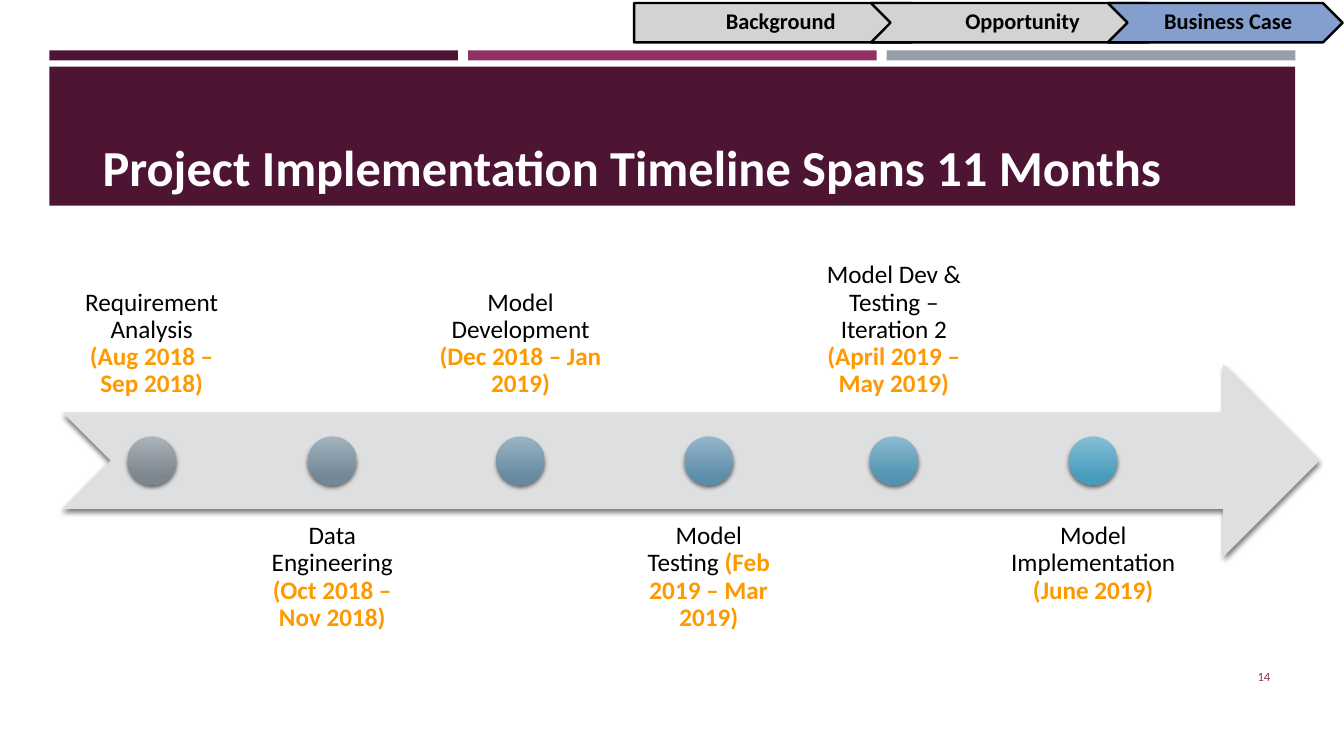
from lxml import etree
from pptx import Presentation
from pptx import util as u
from pptx.dml.color import RGBColor
from pptx.enum import shapes, text
from pptx.oxml import ns

CELL = u.Inches(0.1)
COLUMNS, ROWS = 133.33, 75
FONT = "Calibri"

BLACK = RGBColor(0x00, 0x00, 0x00)
WHITE = RGBColor(0xFF, 0xFF, 0xFF)
PLUM = RGBColor(0x4D, 0x14, 0x34)
BERRY = RGBColor(0x90, 0x31, 0x63)
SLATE = RGBColor(0x96, 0x9F, 0xA7)
ORANGE = RGBColor(0xFF, 0x99, 0x00)
ARROW_GRAY = RGBColor(0xDD, 0xDF, 0xE1)
STEP_GRAY = RGBColor(0xD3, 0xD3, 0xD3)
STEP_BLUE = RGBColor(0x84, 0x9E, 0xCD)

STEPS = [
    ("Background", 29.5, STEP_GRAY),
    ("Opportunity", 29.5, STEP_GRAY),
    ("Business Case", 23.3, STEP_BLUE),
]
MILESTONES = [
    ("Requirement Analysis\n", "(Aug 2018 – Sep 2018)", 17.5, "ABB2B8", "7C868F"),
    ("Data Engineering ", "(Oct 2018 – Nov 2018)", 17, "A3B2BE", "728797"),
    ("Model Development ", "(Dec 2018 – Jan 2019)", 19, "9BB4C4", "678AA0"),
    ("Model Testing ", "(Feb 2019 – Mar 2019)", 17, "94B6CA", "5D8EA9"),
    ("Model Dev & Testing – Iteration 2 ", "(April 2019 – May 2019)", 18.4, "8CBAD0", "5294B2"),
    ("Model Implementation ", "(June 2019)", 19.8, "84BFD7", "489BBB"),
]


def cells(*lengths):
    return [round(length * CELL) for length in lengths]


def add_text(slide, box, runs, size=18, anchor=text.MSO_ANCHOR.MIDDLE,
             align=text.PP_ALIGN.CENTER, margins=(1, 0.5, 1, 0.5), spacing=0.9):
    frame = slide.shapes.add_textbox(*cells(*box)).text_frame
    frame.word_wrap = True
    frame.vertical_anchor = anchor
    (frame.margin_left, frame.margin_top,
     frame.margin_right, frame.margin_bottom) = cells(*margins)
    paragraph = frame.paragraphs[0]
    paragraph.alignment = align
    paragraph.line_spacing = spacing
    for words, color, bold in runs:
        run = paragraph.add_run()
        run.text = words.rstrip("\n")
        run.font.name, run.font.size = FONT, u.Pt(size)
        run.font.bold, run.font.color.rgb = bold, color
        if words.endswith("\n"):
            paragraph.add_line_break()


def add_block(slide, kind, box, color, outline=None):
    block = slide.shapes.add_shape(kind, *cells(*box))
    block.shadow.inherit = False
    block.fill.solid()
    block.fill.fore_color.rgb = color
    if outline is None:
        block.line.fill.background()
    else:
        block.line.color.rgb = outline
        block.line.width = u.Pt(1.75)
    return block


def drop_shadow(block):
    effects = block._element.spPr.find(ns.qn("a:effectLst"))
    shadow = etree.SubElement(effects, ns.qn("a:outerShdw"), blurRad=str(u.Pt(3)),
                              dist=str(u.Pt(2)), dir="5400000", rotWithShape="0")
    color = etree.SubElement(shadow, ns.qn("a:srgbClr"), val="000000")
    etree.SubElement(color, ns.qn("a:alpha"), val="55000")


def add_header(slide, left, top, width, height):
    gap, stripe = 1, 1
    stripe_width = (width - 2 * gap) / 3
    for index, color in enumerate((PLUM, BERRY, SLATE)):
        stripe_left = left + index * (stripe_width + gap)
        add_block(slide, shapes.MSO_SHAPE.RECTANGLE,
                  (stripe_left, top, stripe_width, stripe), color)
    band_top = top + 1.6
    add_block(slide, shapes.MSO_SHAPE.RECTANGLE,
              (left, band_top, width, height - 1.6), PLUM)
    add_text(slide, (left + 4.3, top + 0.5, width - 8.6, height - 0.9),
             [("Project Implementation Timeline Spans 11 Months", WHITE, True)],
             size=36, anchor=text.MSO_ANCHOR.BOTTOM,
             align=text.PP_ALIGN.LEFT, spacing=1)


def add_breadcrumb(slide, left, top, height):
    overlap = 6
    for index, (name, width, color) in enumerate(STEPS):
        kind = shapes.MSO_SHAPE.CHEVRON if index else shapes.MSO_SHAPE.PENTAGON
        add_block(slide, kind, (left, top, width, height), color, BLACK)
        inset = height / 2 if index else 0
        trim = 2 * inset if index else 1
        add_text(slide, (left + inset, top, width - trim, height),
                 [(name, BLACK, True)], size=16, margins=(0.8, 0.5, 0.2, 0.5))
        left += width - overlap


def add_milestone(slide, box, axis, milestone, above):
    task, dates, _, light, dark = milestone
    left, _, width, _ = box
    anchor = text.MSO_ANCHOR.BOTTOM if above else text.MSO_ANCHOR.TOP
    add_text(slide, box, [(task, BLACK, False), (dates, ORANGE, True)],
             anchor=anchor, margins=(1.4,) * 4)
    size = 4.8
    dot = add_block(slide, shapes.MSO_SHAPE.OVAL,
                    (left + (width - size) / 2, axis - size / 2, size, size), WHITE)
    dot.fill.gradient()
    dot.fill.gradient_angle = 270
    for stop, position, color in zip(dot.fill.gradient_stops, (0, 0.84), (light, dark)):
        stop.position = position
        stop.color.rgb = RGBColor.from_string(color)
    drop_shadow(dot)


def add_timeline(slide, left, top, width, height):
    band = height * 0.4
    axis = top + height / 2
    arrow = add_block(slide, shapes.MSO_SHAPE.NOTCHED_RIGHT_ARROW,
                      (left, axis - band / 2, width, band), ARROW_GRAY)
    drop_shadow(arrow)
    label_left, gap = left + 0.1, 0.67
    for index, milestone in enumerate(MILESTONES):
        above = index % 2 == 0
        label_top = top if above else top + height - band
        label_width = milestone[2]
        add_milestone(slide, (label_left, label_top, label_width, band),
                      axis, milestone, above)
        label_left += label_width + gap


def main():
    deck = Presentation()
    deck.slide_width, deck.slide_height = cells(COLUMNS, ROWS)
    slide = deck.slides.add_slide(deck.slide_layouts[6])
    add_header(slide, 4.9, 5, 123.6, 15.4)
    add_timeline(slide, 6.2, 21.8, 124.7, 47.8)
    add_breadcrumb(slide, 62.9, 0.3, 3.9)
    add_text(slide, (115.5, 65.1, 11.5, 4), [("14", BERRY, False)],
             size=9, align=text.PP_ALIGN.RIGHT, spacing=1)
    deck.save("out.pptx")


if __name__ == "__main__":
    main()
